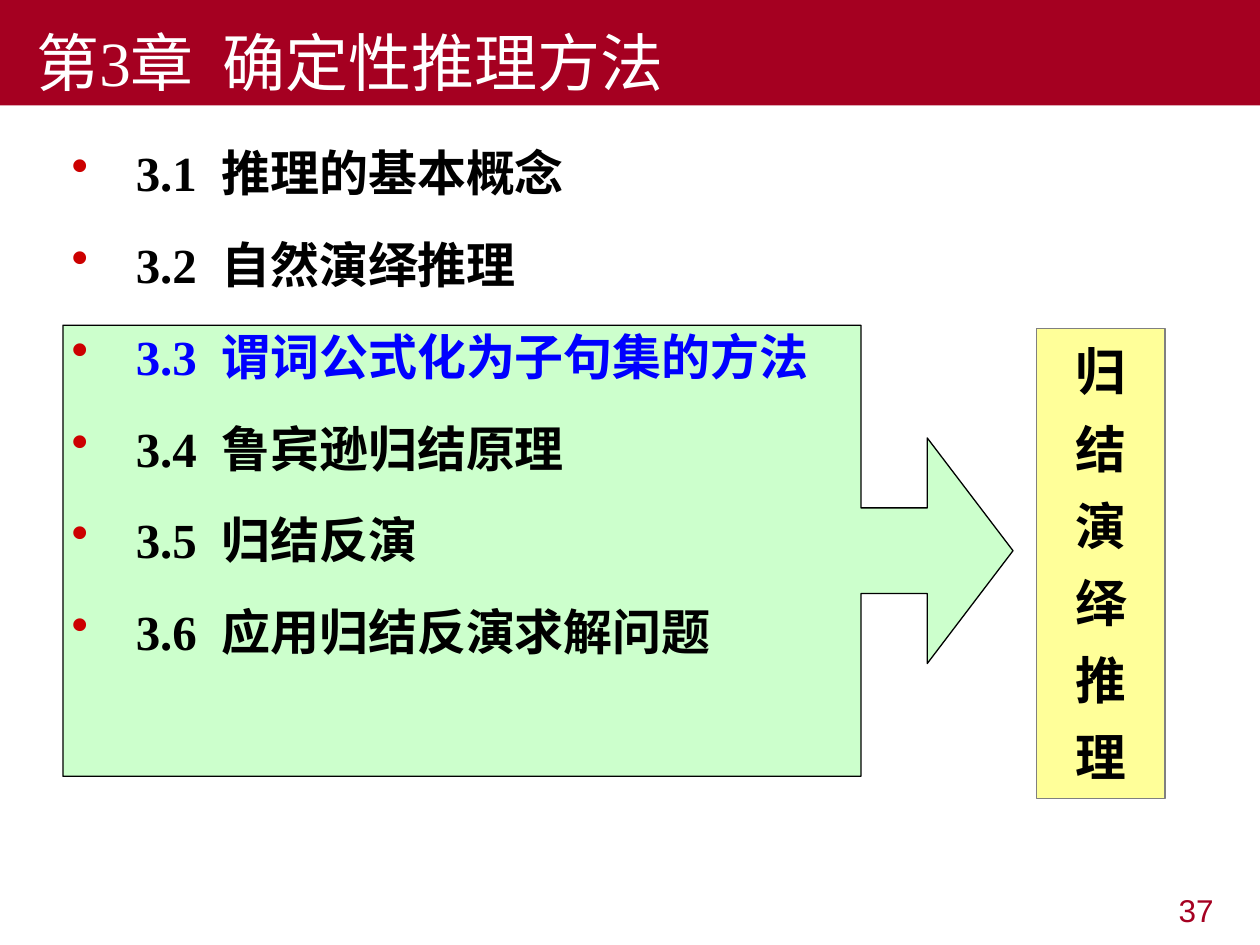
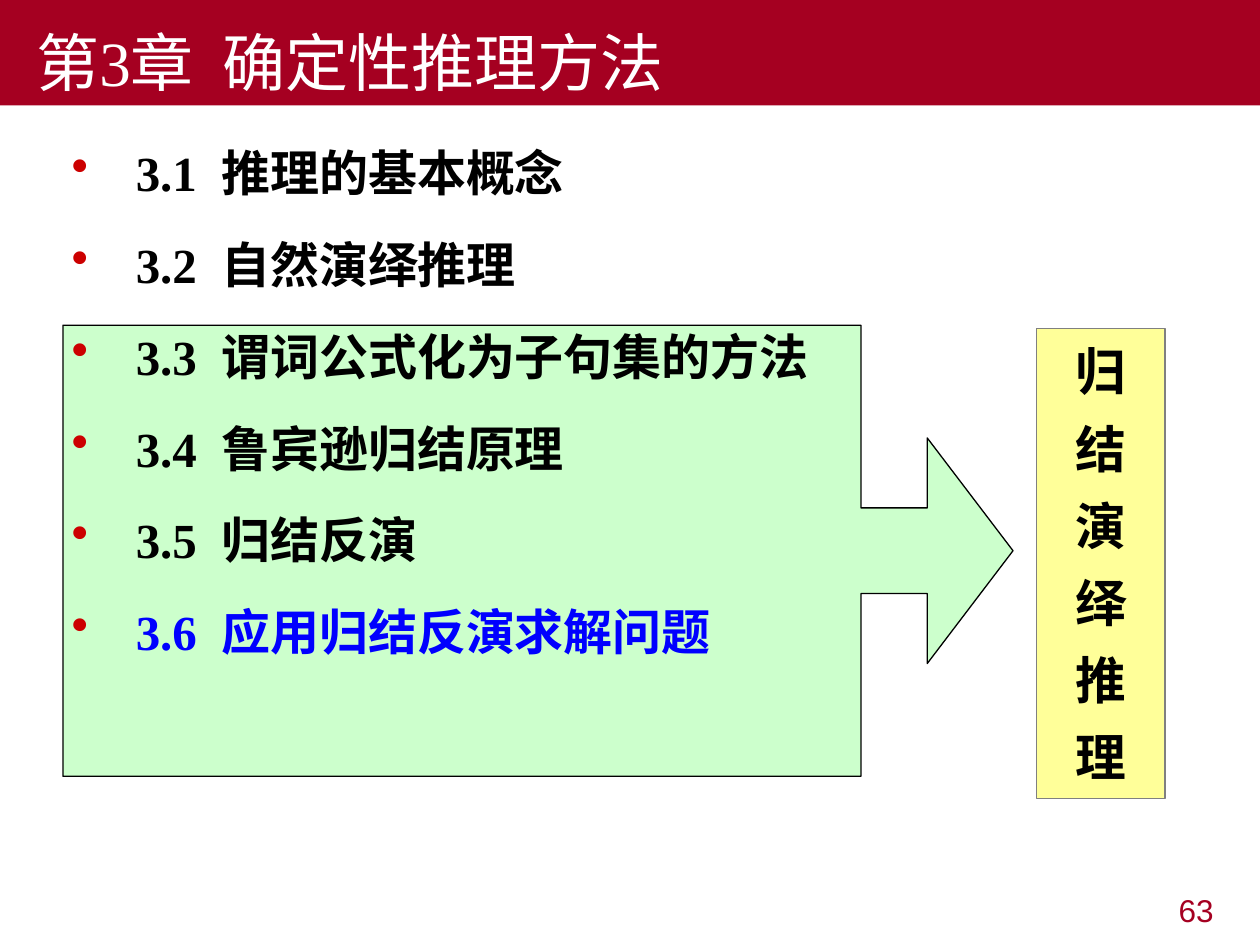
from lxml import etree
from pptx import Presentation
from pptx.dml.color import RGBColor
from pptx.enum.shapes import MSO_SHAPE
from pptx.enum.text import MSO_ANCHOR, PP_ALIGN
from pptx.oxml.ns import qn
from pptx.util import Pt

RECTANGLE = MSO_SHAPE.RECTANGLE
ARROW_CALLOUT = MSO_SHAPE.RIGHT_ARROW_CALLOUT
TOP, MIDDLE, BOTTOM = MSO_ANCHOR.TOP, MSO_ANCHOR.MIDDLE, MSO_ANCHOR.BOTTOM
LEFT, CENTER, RIGHT = PP_ALIGN.LEFT, PP_ALIGN.CENTER, PP_ALIGN.RIGHT

CRIMSON, BULLET_RED, BLUE = "A50021", "CC0000", "0000FF"
BLACK, WHITE, GRAY = "000000", "FFFFFF", "808080"
GREEN, YELLOW = "CCFFCC", "FFFF99"

TITLE = "第3章  确定性推理方法"
SECTIONS = [
    "3.1  推理的基本概念",
    "3.2  自然演绎推理",
    "3.3  谓词公式化为子句集的方法",
    "3.4  鲁宾逊归结原理",
    "3.5  归结反演",
    "3.6  应用归结反演求解问题",
]
SUMMARY = "归结演绎推理"
AGENDAS = [("37", 2), ("63", 5)]

TITLE_FONT = {"name": "Times New Roman", "size": Pt(36)}
SECTION_FONT = {"name": "Times New Roman", "size": Pt(28), "bold": True}
SUMMARY_FONT = {"name": "Arial", "size": Pt(29), "bold": True}
NUMBER_FONT = {"name": "Arial", "size": Pt(18)}


def color(value):
    return RGBColor.from_string(value)


def write(shape, lines, font, anchor, alignment, text_color, gap=0, indent=(0, 0),
          line_spacing=1.0, bullet=None, highlight=None):
    frame = shape.text_frame
    frame.word_wrap = True
    frame.vertical_anchor = anchor
    for index, line in enumerate(lines):
        paragraph = frame.paragraphs[0] if index == 0 else frame.add_paragraph()
        properties = paragraph._p.get_or_add_pPr()
        properties.set("marL", str(Pt(indent[0])))
        properties.set("indent", str(Pt(indent[1])))
        if bullet:
            bullet_color = etree.SubElement(properties, qn("a:buClr"))
            etree.SubElement(bullet_color, qn("a:srgbClr"), val=bullet)
            etree.SubElement(properties, qn("a:buChar"), char="•")
        paragraph.alignment = alignment
        paragraph.line_spacing = line_spacing
        paragraph.space_before = Pt(gap if index else 0)
        run = paragraph.add_run()
        run.text = line
        for name, value in font.items():
            setattr(run.font, name, value)
        run.font.color.rgb = color(BLUE if index == highlight else text_color)


presentation = Presentation()
presentation.slide_width = Pt(720)
presentation.slide_height = Pt(540)

for page_number, current_section in AGENDAS:
    slide = presentation.slides.add_slide(presentation.slide_layouts[6])

    number_box = slide.shapes.add_textbox(Pt(532.8), Pt(505.4), Pt(167.8), Pt(37.4))
    write(number_box, [page_number], NUMBER_FONT, TOP, RIGHT, CRIMSON)

    panels = []
    for kind, bounds, fill, line in [
        (ARROW_CALLOUT, (36, 185.8, 542.9, 257.8), GREEN, BLACK),
        (RECTANGLE, (592.2, 187.8, 73.6, 268.4), YELLOW, GRAY),
        (RECTANGLE, (0, 0, 720, 60.2), CRIMSON, None),
    ]:
        shape = slide.shapes.add_shape(kind, *map(Pt, bounds))
        shape.shadow.inherit = False
        shape.fill.solid()
        shape.fill.fore_color.rgb = color(fill)
        if line:
            shape.line.color.rgb = color(line)
            shape.line.width = Pt(0.75)
        else:
            shape.line.fill.background()
        panels.append(shape)

    callout, summary_box, title_band = panels
    for index, value in enumerate([0.19, 0.25, 0.19, 0.84]):
        callout.adjustments[index] = value

    write(summary_box, SUMMARY, SUMMARY_FONT, MIDDLE, CENTER, BLACK, gap=9.3)
    write(title_band, [TITLE], TITLE_FONT, BOTTOM, LEFT, WHITE, indent=(0, 13.7))

    section_list = slide.shapes.add_textbox(Pt(33.8), Pt(71.3), Pt(680.4), Pt(425.5))
    write(section_list, SECTIONS, SECTION_FONT, TOP, LEFT, BLACK, gap=12.1,
          indent=(36.7, -36.7), line_spacing=1.2, bullet=BULLET_RED,
          highlight=current_section)

presentation.save("out.pptx")
